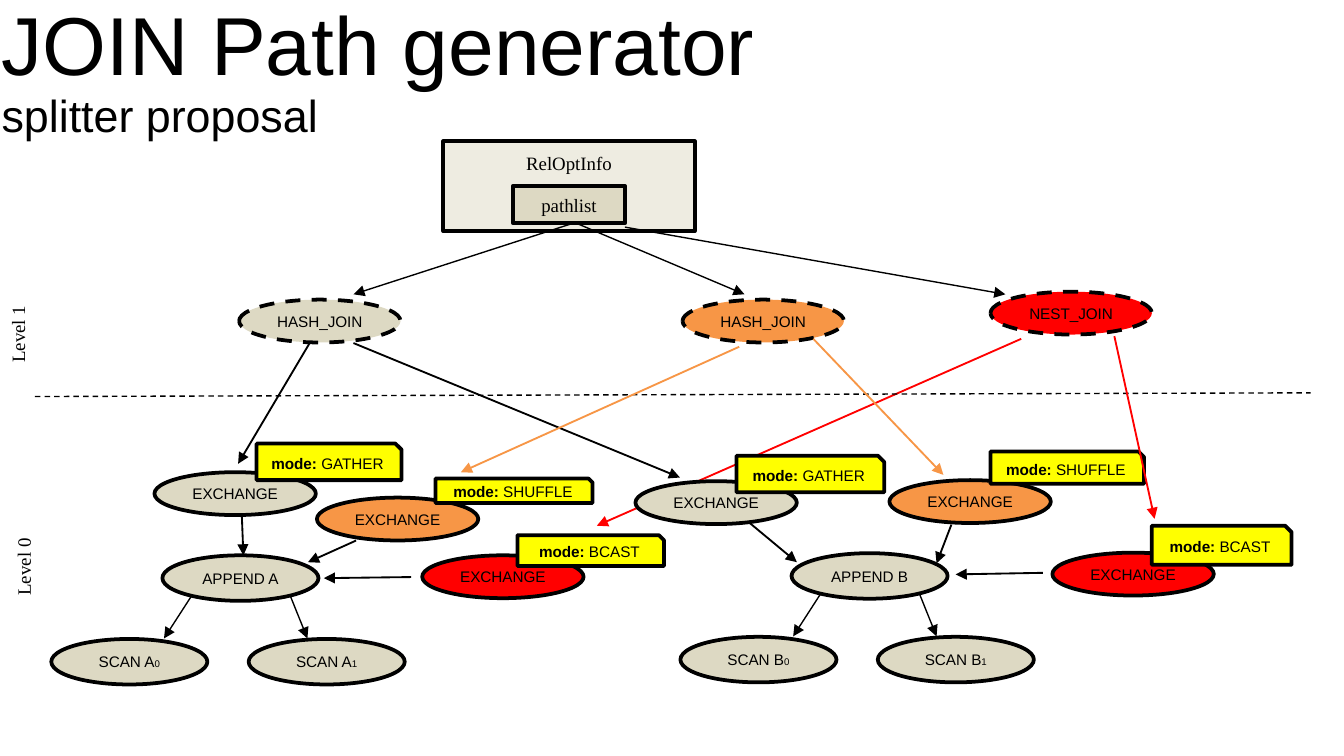
from lxml import etree
from pptx import Presentation
from pptx.dml.color import RGBColor
from pptx.enum.dml import MSO_LINE
from pptx.enum.shapes import MSO_CONNECTOR, MSO_SHAPE
from pptx.enum.text import MSO_ANCHOR, PP_ALIGN
from pptx.oxml.ns import qn
from pptx.util import Cm, Pt

RECTANGLE = MSO_SHAPE.RECTANGLE
ELLIPSE = MSO_SHAPE.OVAL
SNIPPED = MSO_SHAPE.SNIP_1_RECTANGLE
STRAIGHT = MSO_CONNECTOR.STRAIGHT
DASH = MSO_LINE.DASH
TOP, MIDDLE = MSO_ANCHOR.TOP, MSO_ANCHOR.MIDDLE
LEFT, CENTER = PP_ALIGN.LEFT, PP_ALIGN.CENTER

SANS, SERIF = "Arial", "Times New Roman"
COLORS = {
    "black": "000000",
    "cream": "EEECE1",
    "beige": "DDD9C3",
    "orange": "F79646",
    "red": "FF0000",
    "yellow": "FFFF00",
}

presentation = Presentation()
presentation.slide_width, presentation.slide_height = Cm(25.4), Cm(14.28)
slide = presentation.slides.add_slide(presentation.slide_layouts[6])


def add_text(runs, box, kind=None, fill="beige", dash=None, size=8.2, font=SANS,
             align=CENTER, anchor=MIDDLE, inset_top=0, spacing=1, rotation=0):
    """Add a text box, or a filled shape of the given kind.

    Each run is (text, size or None for the default, bold); "\\n" breaks the line.
    """
    position = [Cm(value) for value in box]
    if kind is None:
        shape = slide.shapes.add_textbox(*position)
    else:
        shape = slide.shapes.add_shape(kind, *position)
        shape.shadow.inherit = False
        shape.fill.solid()
        shape.fill.fore_color.rgb = RGBColor.from_string(COLORS[fill])
        shape.line.color.rgb = RGBColor.from_string(COLORS["black"])
        shape.line.width = Pt(2)
        if dash:
            shape.line.dash_style = dash
    shape.rotation = rotation
    frame = shape.text_frame
    frame.word_wrap = True
    frame.vertical_anchor = anchor
    frame.margin_left = frame.margin_right = frame.margin_bottom = 0
    frame.margin_top = Cm(inset_top)
    paragraph = frame.paragraphs[0]
    paragraph.alignment = align
    paragraph.line_spacing = spacing
    for text, run_size, bold in runs:
        if text == "\n":
            paragraph.add_line_break()
            continue
        run = paragraph.add_run()
        run.text = text
        run.font.name = font
        run.font.size = Pt(run_size or size)
        run.font.bold = bold
        run.font.color.rgb = RGBColor.from_string(COLORS["black"])


def add_line(start_x, start_y, end_x, end_y, color="black", width=1, dash=None, arrow=True):
    line = slide.shapes.add_connector(
        STRAIGHT, Cm(start_x), Cm(start_y), Cm(end_x), Cm(end_y))
    line.line.color.rgb = RGBColor.from_string(COLORS[color])
    line.line.width = Pt(width)
    if dash:
        line.line.dash_style = dash
    if arrow:
        outline = line.line._get_or_add_ln()
        etree.SubElement(outline, qn("a:tailEnd"), type="triangle")
    etree.SubElement(line._element.spPr, qn("a:effectLst"))


# This arrow runs behind the nodes
add_line(19.3, 6.4, 11.28, 9.93, color="red")

# Title, path list and level labels
add_text([("JOIN Path generator", 44, False), ("\n", None, False),
          ("splitter proposal", 24, False)],
         (0.03, 0, 25.3, 2.77), align=LEFT, spacing=0.9)
add_text([("RelOptInfo", None, False)], (8.38, 2.67, 4.75, 1.7), kind=RECTANGLE,
         fill="cream", size=10.1, font=SERIF, anchor=TOP, inset_top=0.2)
add_text([("pathlist", None, False)], (9.7, 3.51, 2.11, 0.71), kind=RECTANGLE,
         size=10.1, font=SERIF)
add_line(0.66, 7.49, 24.77, 7.42, width=0.75, dash=DASH, arrow=False)
for label, box in [("Level 0", (-2.72, 10.39, 6.32, 0.64)),
                   ("Level 1", (-0.81, 5.99, 2.29, 0.64))]:
    add_text([(label, None, False)], box, size=10.1, font=SERIF, rotation=270)

# Append nodes, each with two scans
for table, left, top in [("A", 3.07, 10.49), ("B", 14.96, 10.45)]:
    add_text([(f"APPEND {table}", None, False)], (left, top, 2.95, 0.86), kind=ELLIPSE)
    for index, offset, start, end in [("0", -2.1, 0.56, 0.03), ("1", 1.63, 2.41, 2.74)]:
        add_text([(f"SCAN {table}", None, False), (index, 5.2, False)],
                 (left + offset, top + 1.58, 2.95, 0.86), kind=ELLIPSE)
        add_line(left + start, top + 0.75, left + end, top + 1.57, width=0.75)

# Join nodes
for name, left, top, fill in [
    ("HASH_JOIN", 4.52, 5.66, "beige"),
    ("HASH_JOIN", 12.9, 5.66, "orange"),
    ("NEST_JOIN", 18.72, 5.51, "red"),
]:
    add_text([(name, None, False)], (left, top, 3.05, 0.81), kind=ELLIPSE,
             fill=fill, dash=DASH)

# Exchange nodes with their mode badges
for left, top, fill, mode, badge in [
    (2.92, 8.92, "beige", "GATHER", (4.85, 8.38, 2.74, 0.69)),
    (12.01, 9.09, "beige", "GATHER", (13.92, 8.61, 2.79, 0.69)),
    (5.99, 9.4, "orange", "SHUFFLE", (8.23, 9.04, 2.97, 0.46)),
    (16.81, 9.07, "orange", "SHUFFLE", (18.72, 8.53, 2.9, 0.61)),
    (7.98, 10.49, "red", "BCAST", (9.78, 10.11, 2.77, 0.58)),
    (19.89, 10.44, "red", "BCAST", (21.77, 9.93, 2.64, 0.74)),
]:
    add_text([("EXCHANGE", None, False)], (left, top, 3.05, 0.81), kind=ELLIPSE, fill=fill)
    add_text([("mode:", None, True), (f" {mode}", None, False)], badge,
             kind=SNIPPED, fill="yellow")

# Path list to joins
for points in [(10.82, 4.22, 6.68, 5.56), (10.9, 4.22, 14.07, 5.56),
               (11.81, 4.29, 19, 5.56)]:
    add_line(*points, width=0.75)

# Joins to exchanges
for color, points in [
    ("black", (5.87, 6.45, 4.5, 8.76)),
    ("black", (6.68, 6.48, 12.85, 9.02)),
    ("orange", (13.97, 6.55, 8.71, 8.92)),
    ("orange", (15.37, 6.4, 17.83, 8.97)),
    ("red", (21.06, 6.35, 21.82, 9.8)),
]:
    add_line(*points, color=color)

# Exchanges to appends
for points in [
    (4.57, 9.73, 4.6, 10.49), (6.73, 10.21, 5.82, 10.62), (7.77, 10.9, 6.12, 10.92),
    (14.17, 9.88, 15.06, 10.62), (17.98, 9.91, 17.7, 10.64), (19.71, 10.82, 18.06, 10.85),
]:
    add_line(*points)

presentation.save("out.pptx")
